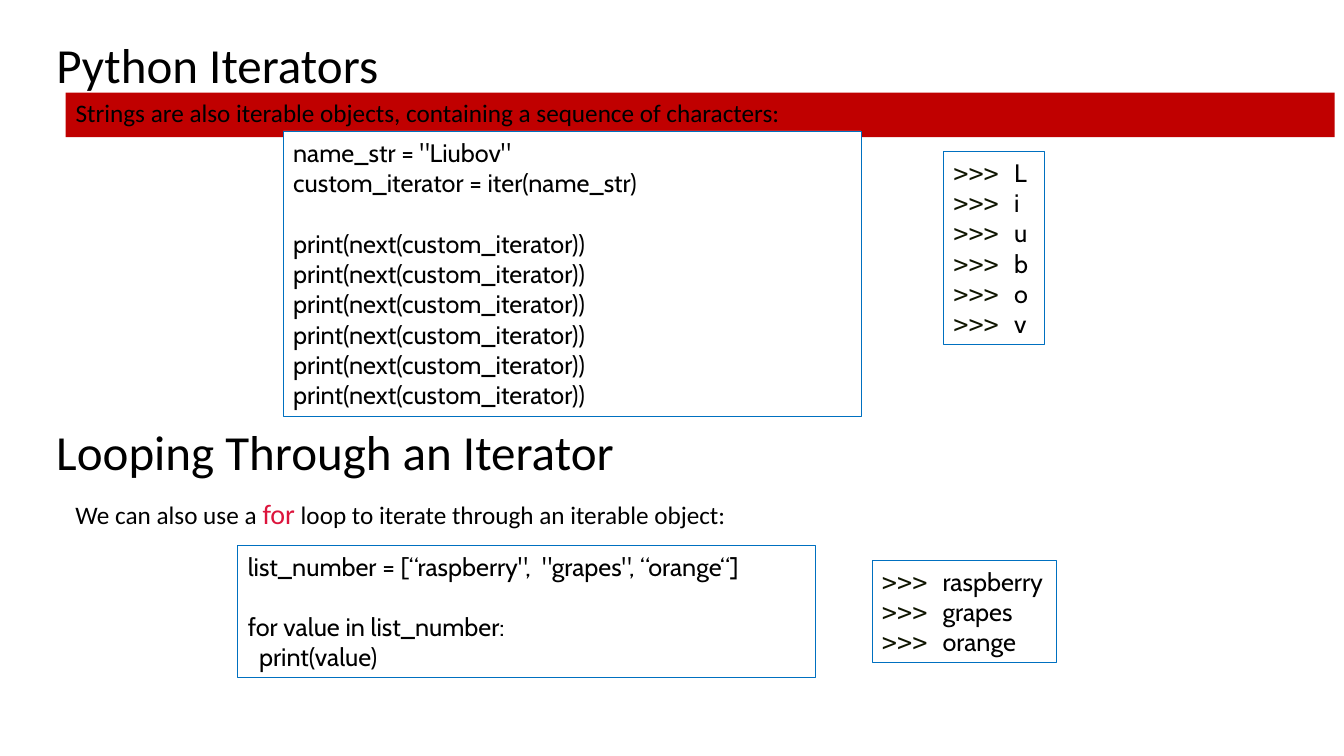
from pptx import Presentation
from pptx import util as u
from pptx.dml.color import RGBColor
from pptx.enum import shapes, text
from pptx.oxml import parse_xml
from pptx.oxml.ns import nsdecls

COLORS = {"ink": "000000", "band": "C00000", "paper": "FFFFFF",
          "frame": "0070C0", "prompt": "0F1500", "keyword": "DC143C"}
SLIDE_W, SLIDE_H = u.Inches(13.33), u.Inches(7.5)


def color(name):
    return RGBColor.from_string(COLORS[name])


def style(font, face, size, ink="ink"):
    font.name, font.size = face, u.Pt(size)
    font.color.rgb = color(ink)


def place(shape, origin, offset):
    """Position a shape by percentages of the slide, relative to its section."""
    dx, dy, width, height = offset
    shape.left = int((origin[0] + dx) * SLIDE_W / 100)
    shape.top = int((origin[1] + dy) * SLIDE_H / 100)
    shape.width, shape.height = int(width * SLIDE_W / 100), int(height * SLIDE_H / 100)


def heading(shape, origin, words):
    place(shape, origin, (0, 0, 94.43, 7.73))
    frame = shape.text_frame
    frame.word_wrap, frame.auto_size = True, text.MSO_AUTO_SIZE.NONE
    frame.vertical_anchor = text.MSO_ANCHOR.MIDDLE
    line = frame.paragraphs[0]
    line.text, line.line_spacing = words, 0.9
    line.alignment = text.PP_ALIGN.LEFT
    style(line.font, "Calibri", 35)


def lead(shape, origin, dy, parts):
    """One introductory line; parts are (words, size, colour)."""
    place(shape, origin, (1.43, dy, 94.43, 5.87))
    frame = shape.text_frame
    frame.word_wrap, frame.auto_size = True, text.MSO_AUTO_SIZE.NONE
    frame.vertical_anchor = text.MSO_ANCHOR.TOP
    line = frame.paragraphs[0]
    props = line._p.get_or_add_pPr()
    props.set("marL", "0")
    props.set("indent", "0")
    props.append(parse_xml(f"<a:buNone {nsdecls('a')}/>"))
    line.space_before = u.Pt(0)
    for words, size, ink in parts:
        run = line.add_run()
        run.text = words
        style(run.font, "Calibri", size, ink)


def framed_box(slide, origin, offset):
    box = slide.shapes.add_shape(shapes.MSO_SHAPE.RECTANGLE, 0, 0, 0, 0)
    place(box, origin, offset)
    box.shadow.inherit = False
    box.fill.solid()
    box.fill.fore_color.rgb = color("paper")
    box.line.color.rgb, box.line.width = color("frame"), u.Pt(0.5)
    box.text_frame.word_wrap = True
    box.text_frame.vertical_anchor = text.MSO_ANCHOR.MIDDLE
    return box.text_frame


def paragraphs(frame, count):
    lines = [frame.paragraphs[0]] + [frame.add_paragraph() for _ in range(count - 1)]
    for line in lines:
        line.alignment = text.PP_ALIGN.LEFT
    return lines


def code_box(slide, origin, offset, statements):
    frame = framed_box(slide, origin, offset)
    for line, statement in zip(paragraphs(frame, len(statements)), statements):
        line.text = statement
        style(line.font, "Cabin", 18)


def output_box(slide, origin, offset, values):
    frame = framed_box(slide, origin, offset)
    for line, value in zip(paragraphs(frame, len(values)), values):
        for words, face, ink in ((">>> ", "DejaVu Sans Mono", "prompt"),
                                 (value, "Cabin", "ink")):
            run = line.add_run()
            run.text = words
            style(run.font, face, 18, ink)


def iterators_section(slide, origin):
    band = slide.placeholders[1]
    band.fill.solid()
    band.fill.fore_color.rgb = color("band")
    lead(band, origin, 7.2, [
        ("Strings are also iterable objects, containing a sequence of characters:", 18, "ink")])
    heading(slide.shapes.title, origin, "Python Iterators")
    name = "Liubov"
    calls = ["print(next(custom_iterator))"] * len(name)
    calls[0] = "\n" + calls[0]
    code_box(slide, origin, (17.63, 12.26, 42.98, 37.73),
             [f'name_str = "{name}"', "custom_iterator = iter(name_str)"] + calls)
    output_box(slide, origin, (66.75, 14.93, 7.5, 25.6), name)


def looping_section(slide, origin):
    heading(slide.shapes.add_textbox(0, 0, 0, 0), origin, "Looping Through an Iterator")
    lead(slide.shapes.add_textbox(0, 0, 0, 0), origin, 8.8, [
        ("We can also use a ", 18, "ink"), ("for", 20, "keyword"),
        (" loop to iterate through an iterable object:", 18, "ink")])
    code_box(slide, origin, (14.25, 15.86, 42.98, 17.47), [
        'list_number = [“raspberry",  "grapes", “orange“]',
        "\nfor value in list_number:", "  print(value)"])
    output_box(slide, origin, (61.43, 17.86, 13.73, 13.47),
               ["raspberry", "grapes", "orange"])


def main():
    deck = Presentation()
    deck.slide_width, deck.slide_height = SLIDE_W, SLIDE_H
    slide = deck.slides.add_slide(deck.slide_layouts[1])
    # Upper half: stepping through a string
    iterators_section(slide, (3.45, 5.07))
    # Lower half: looping over a list
    looping_section(slide, (3.45, 56.27))
    deck.save("out.pptx")


if __name__ == "__main__":
    main()
